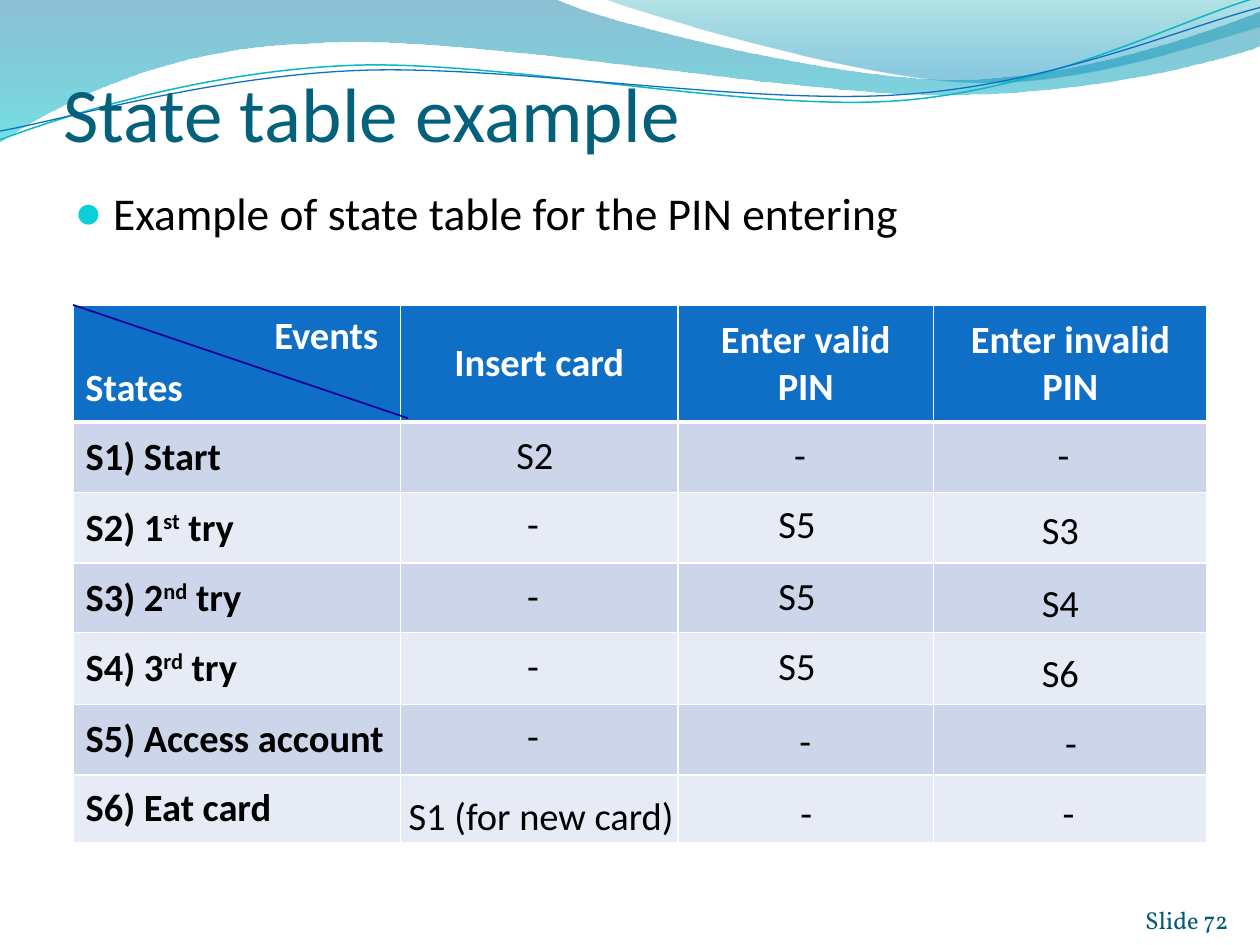
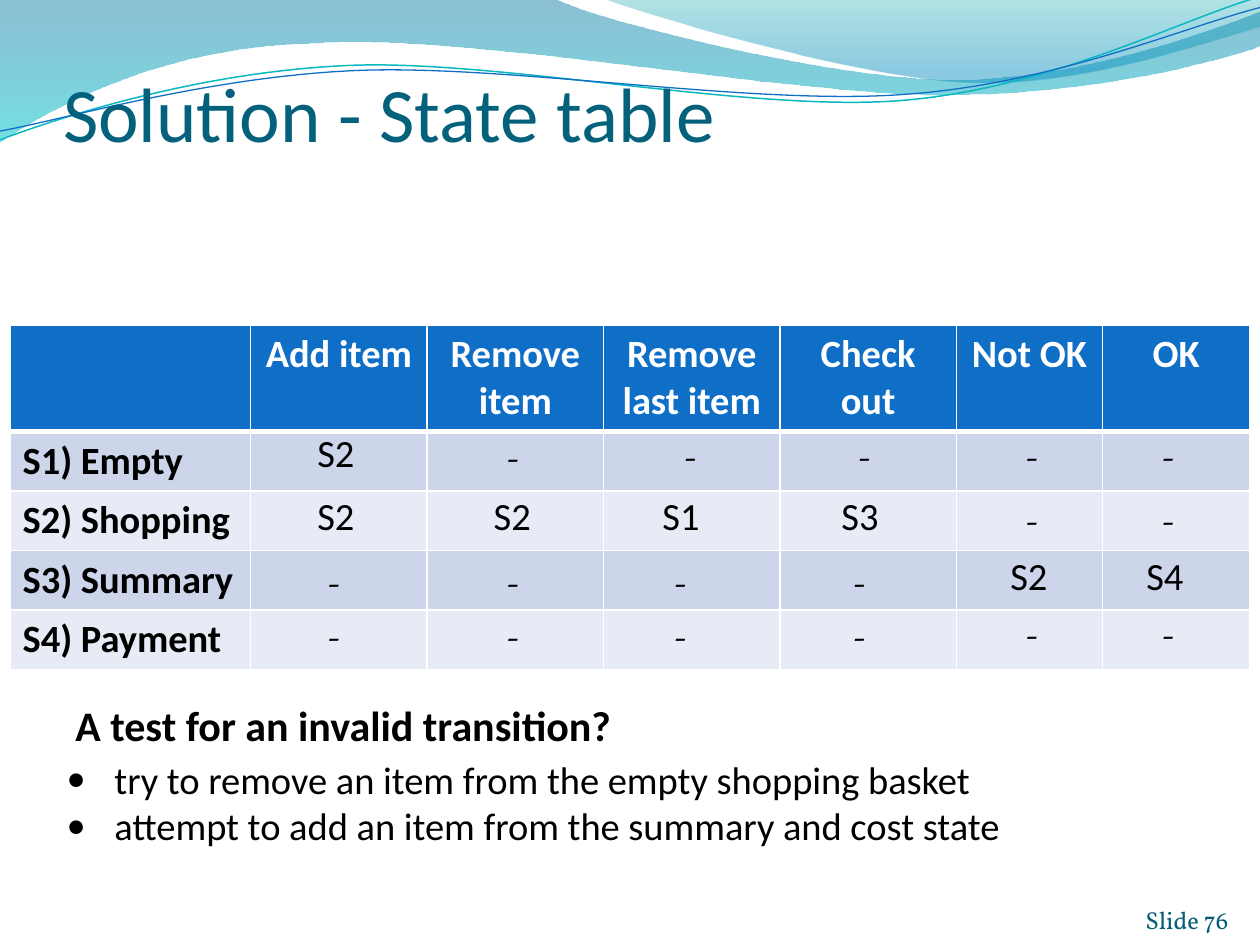
from lxml import etree
from pptx import Presentation
from pptx.dml.color import RGBColor
from pptx.enum.shapes import MSO_CONNECTOR
from pptx.enum.text import MSO_ANCHOR, MSO_AUTO_SIZE, PP_ALIGN
from pptx.oxml.ns import qn
from pptx.util import Inches, Pt

LEFT, CENTER, RIGHT = PP_ALIGN.LEFT, PP_ALIGN.CENTER, PP_ALIGN.RIGHT
TOP, MIDDLE, BOTTOM = MSO_ANCHOR.TOP, MSO_ANCHOR.MIDDLE, MSO_ANCHOR.BOTTOM
FIT_SHAPE, NO_FIT = MSO_AUTO_SIZE.SHAPE_TO_FIT_TEXT, MSO_AUTO_SIZE.NONE
STRAIGHT = MSO_CONNECTOR.STRAIGHT
TITLE_ONLY = 5

SANS, SERIF = "Calibri", "Vollkorn"
BLACK, WHITE = "000000", "FFFFFF"
TITLE_TEAL, FOOTER_TEAL, BULLET_CYAN = "04617B", "045D75", "0BD0D9"
HEADER_BLUE, DIAGONAL_NAVY, LINE_TEAL = "0F6FC6", "000099", "0AB8BF"
ROW_BANDS = ("CCD5EA", "E7EBF5")

BANDS = [
    ([(0, 0), [(4.4, -0.01)],
      [(4.76, 0.17), (6.64, 0.63), (7.58, 0.63)],
      [(8.53, 0.63), (9.58, 0.26), (10, 0.09)], [(10.01, 0.36)],
      [(9.83, 0.44), (8.7, 0.76), (7.46, 0.75)],
      [(6.22, 0.75), (3.82, 0.28), (2.57, 0.34)],
      [(1.29, 0.36), (0.46, 0.83), (-0.01, 1.13)], [(0, 0)]],
     [(0, "0074A1", 45), (1, "00C6CF", 55)]),
    ([(4.79, -0.01),
      [(5.09, 0.11), (6.82, 0.62), (7.69, 0.65)],
      [(8.56, 0.69), (9.61, 0.32), (10, 0.21)], [(10, 0)], [(4.79, -0.01)]],
     [(0, "00A1A9", 30), (0.8, "008BBF", 45)]),
]
WAVE_LINES = [
    ([(0, 1.11),
      [(0.48, 0.93), (1.58, 0.57), (2.77, 0.52)],
      [(3.95, 0.47), (5.93, 0.89), (7.13, 0.8)],
      [(8.33, 0.71), (9.38, 0.15), (9.98, -0.02)]], LINE_TEAL, 0.85),
    ([(0, 1.04),
      [(0.47, 0.96), (1.64, 0.61), (2.83, 0.56)],
      [(4.03, 0.51), (5.97, 0.84), (7.17, 0.75)],
      [(8.36, 0.67), (9.41, 0.21), (10, 0.06)]], HEADER_BLUE, 0.75),
]


def rgb(value):
    return RGBColor.from_string(value)


def add_node(parent, tag, **attributes):
    return etree.SubElement(parent, qn(tag), attributes)


def add_bullet(paragraph, char, indent, color=BLACK, percent=100):
    properties = paragraph._p.get_or_add_pPr()
    properties.set("marL", str(Inches(indent)))
    properties.set("indent", str(-Inches(indent)))
    add_node(add_node(properties, "a:buClr"), "a:srgbClr", val=color)
    add_node(properties, "a:buSzPct", val=str(percent * 1000))
    add_node(properties, "a:buFont", typeface=SANS)
    add_node(properties, "a:buChar", char=char)


def write(frame, text, size=22, font=SANS, color=BLACK, bold=False,
          align=LEFT, bullet=None):
    for index, line in enumerate(text.split("\n")):
        paragraph = frame.add_paragraph() if index else frame.paragraphs[0]
        paragraph.alignment = align
        if bullet:
            add_bullet(paragraph, **bullet)
        for part, piece in enumerate(line.split("^")):
            run = paragraph.add_run()
            run.text = piece
            run.font.size, run.font.name = Pt(size), font
            run.font.bold, run.font.color.rgb = bold, rgb(color)
            if part % 2:
                run._r.get_or_add_rPr().set("baseline", "30000")


def set_insets(frame, top=0):
    frame.margin_left = frame.margin_right = frame.margin_bottom = 0
    frame.margin_top = Inches(top)


def bend(shape, segments):
    steps = iter(list(shape._element.iter(qn("a:lnTo"))))
    for segment in segments:
        corners = [next(steps) for _ in segment]
        if len(corners) == 3:
            curve = etree.Element(qn("a:cubicBezTo"))
            corners[0].addprevious(curve)
            for corner in corners:
                curve.append(corner[0])
                corner.getparent().remove(corner)


def set_borders(cell, **widths):
    properties = cell._tc.get_or_add_tcPr()
    for index, (side, width) in enumerate(widths.items()):
        border = etree.Element(qn("a:ln" + side), w=str(Pt(width)))
        fill = add_node(border, "a:solidFill")
        add_node(fill, "a:srgbClr", val=WHITE)
        properties.insert(index, border)


class Deck:
    def __init__(self):
        self.presentation = Presentation()
        self.presentation.slide_width = Inches(10)
        self.presentation.slide_height = Inches(7.5)
        self.slide = None

    def start(self, title, number):
        layout = self.presentation.slide_layouts[TITLE_ONLY]
        self.slide = self.presentation.slides.add_slide(layout)
        for outline, stops in BANDS:
            self.band(outline, stops)
        for outline, color, width in WAVE_LINES:
            self.wave_line(outline, color, width)
        heading = self.slide.shapes.title
        self.slide.shapes._spTree.append(heading._element)
        heading.left, heading.top = Inches(0.5), Inches(0.42)
        heading.width, heading.height = Inches(9.17), Inches(0.83)
        frame = heading.text_frame
        frame.auto_size, frame.vertical_anchor = NO_FIT, BOTTOM
        set_insets(frame, top=0.05)
        write(frame, title, size=44, color=TITLE_TEAL)
        footer = self.text(f"Slide {number}", 8.92, 7.02, 0.83, 0.4, anchor=BOTTOM,
                           fit=NO_FIT, wrap=True, size=14, font=SERIF,
                           color=FOOTER_TEAL, align=RIGHT)
        set_insets(footer)

    def freeform(self, outline, closed):
        start, *segments = outline
        corners = [tuple(map(Inches, point)) for segment in segments
                   for point in segment]
        builder = self.slide.shapes.build_freeform(*map(Inches, start))
        builder.add_line_segments(corners, close=closed)
        shape = builder.convert_to_shape()
        bend(shape, segments)
        shape.shadow.inherit = False
        return shape

    def band(self, outline, stops):
        band = self.freeform(outline, closed=True)
        band.line.fill.background()
        band.fill.gradient()
        band.fill.gradient_angle = 270
        for stop, (position, color, _) in zip(band.fill.gradient_stops, stops):
            stop.position, stop.color.rgb = position, rgb(color)
        tints = band._element.spPr.iter(qn("a:srgbClr"))
        for tint, (_, _, opacity) in zip(tints, stops):
            add_node(tint, "a:alpha", val=str(opacity * 1000))

    def wave_line(self, outline, color, width):
        wave = self.freeform(outline, closed=False)
        wave.fill.background()
        wave.line.color.rgb, wave.line.width = rgb(color), Pt(width)

    def text(self, text, left, top, width, height, anchor=TOP, fit=FIT_SHAPE,
             wrap=False, **style):
        box = self.slide.shapes.add_textbox(*map(Inches, (left, top, width, height)))
        frame = box.text_frame
        frame.word_wrap, frame.auto_size, frame.vertical_anchor = wrap, fit, anchor
        write(frame, text, **style)
        return frame

    def line(self, start, end, color, width):
        line = self.slide.shapes.add_connector(STRAIGHT, *map(Inches, (*start, *end)))
        line.line.color.rgb, line.line.width = rgb(color), Pt(width)
        add_node(line._element.spPr, "a:effectLst")

    def state_table(self, left, top, widths, heights, events, states, anchor):
        frame = self.slide.shapes.add_table(
            len(heights), len(widths),
            *map(Inches, (left, top, sum(widths), sum(heights))))
        table = frame.table
        for column, width in zip(table.columns, widths):
            column.width = Inches(width)
        for row, height in zip(table.rows, heights):
            row.height = Inches(height)
        for row in range(len(heights)):
            for column in range(len(widths)):
                cell = table.cell(row, column)
                cell.vertical_anchor = anchor
                cell.fill.solid()
                band = ROW_BANDS[(row - 1) % 2] if row else HEADER_BLUE
                cell.fill.fore_color.rgb = rgb(band)
                set_borders(cell, L=1, R=1, T=3 if row == 1 else 1,
                            B=1 if row else 3)
        for column, event in enumerate(events, 1):
            write(table.cell(0, column).text_frame, event, color=WHITE, bold=True,
                  align=CENTER)
        for row, state in enumerate(states, 1):
            write(table.cell(row, 0).text_frame, state, bold=True)

    def transitions(self, targets, dash_width, dash_height, **dash_style):
        for target, left, top in targets:
            if target == "-":
                self.text(target, left, top, dash_width, dash_height, **dash_style)
            else:
                self.text(target, left, top, 0.5, 0.47)


def pin_slide(deck):
    deck.start("State table example", 72)
    deck.text("Example of state table for the PIN entering", 0.5, 1.42, 9.17, 5.75,
              wrap=True, fit=NO_FIT, size=26,
              bullet=dict(char="●", indent=0.3, color=BULLET_CYAN, percent=95))
    deck.state_table(
        0.58, 2.42, [2.6, 2.2, 2.03, 2.17],
        [0.93, 0.56, 0.56, 0.55, 0.57, 0.56, 0.54],
        ["Insert card", "Enter valid PIN", "Enter invalid PIN"],
        ["S1) Start", "S2) 1^st^ try", "S3) 2^nd^ try", "S4) 3^rd^ try",
         "S5) Access account", "S6) Eat card"], MIDDLE)
    deck.transitions([
        ("S2", 4, 3.37), ("-", 6.2, 3.37), ("-", 8.29, 3.37),
        ("-", 4.08, 3.92), ("S5", 6.08, 3.92), ("S3", 8.17, 3.97),
        ("-", 4.08, 4.49), ("S5", 6.08, 4.49), ("S4", 8.17, 4.55),
        ("-", 4.08, 5.05), ("S5", 6.08, 5.05), ("S6", 8.17, 5.1),
        ("-", 4.08, 5.6), ("-", 6.24, 5.64), ("-", 8.35, 5.66),
        ("-", 6.25, 6.21), ("-", 8.33, 6.21),
    ], 0.3, 0.47, align=CENTER)
    deck.text("S1 (for new card)", 3.09, 6.24, 2.41, 0.47, wrap=True, align=CENTER)
    deck.text("States", 0.58, 2.83, 0.98, 0.47, color=WHITE, bold=True)
    deck.text("Events", 2.08, 2.42, 1.03, 0.47, color=WHITE, bold=True)
    deck.line((0.58, 2.42), (3.24, 3.32), DIAGONAL_NAVY, 1)


def shopping_slide(deck):
    deck.start("Solution - State table", 76)
    deck.state_table(
        0.08, 2.58, [1.91] + [1.4] * 4 + [1.16, 1.17], [0.84] + [0.47] * 4,
        ["Add item", "Remove item", "Remove last item", "Check out", "Not OK", "OK"],
        ["S1) Empty", "S2) Shopping", "S3) Summary", "S4) Payment"], TOP)
    dash_columns = [2.5, 3.92, 5.25, 6.67, 8.04, 9.12]
    deck.transitions([
        ("S2", 2.42, 3.36), ("-", 3.92, 3.43),
        *[("-", left, 3.42) for left in (5.33, 6.71, 8.04, 9.12)],
        ("S2", 2.42, 3.86), ("S2", 3.82, 3.86), ("S1", 5.16, 3.86),
        ("S3", 6.58, 3.86),
        *[("-", left, 3.93) for left in dash_columns[4:]],
        *[("-", left, 4.42) for left in dash_columns[:4]],
        ("S2", 7.92, 4.33), ("S4", 9, 4.33),
        *[("-", left, 4.85) for left in dash_columns[:4]],
        *[("-", left, 4.83) for left in dash_columns[4:]],
    ], 0.29, 0.4, size=18, font=SERIF)
    deck.text("A test for an invalid transition?", 0.5, 5.5, 4.5, 0.5, size=24,
              bold=True)
    deck.text("try to remove an item from the empty shopping basket\n"
              "attempt to add an item from the summary and cost state",
              0.43, 5.95, 8.49, 0.84, wrap=True, bullet=dict(char="•", indent=0.38))


def main():
    deck = Deck()
    pin_slide(deck)
    shopping_slide(deck)
    deck.presentation.save("out.pptx")


if __name__ == "__main__":
    main()
